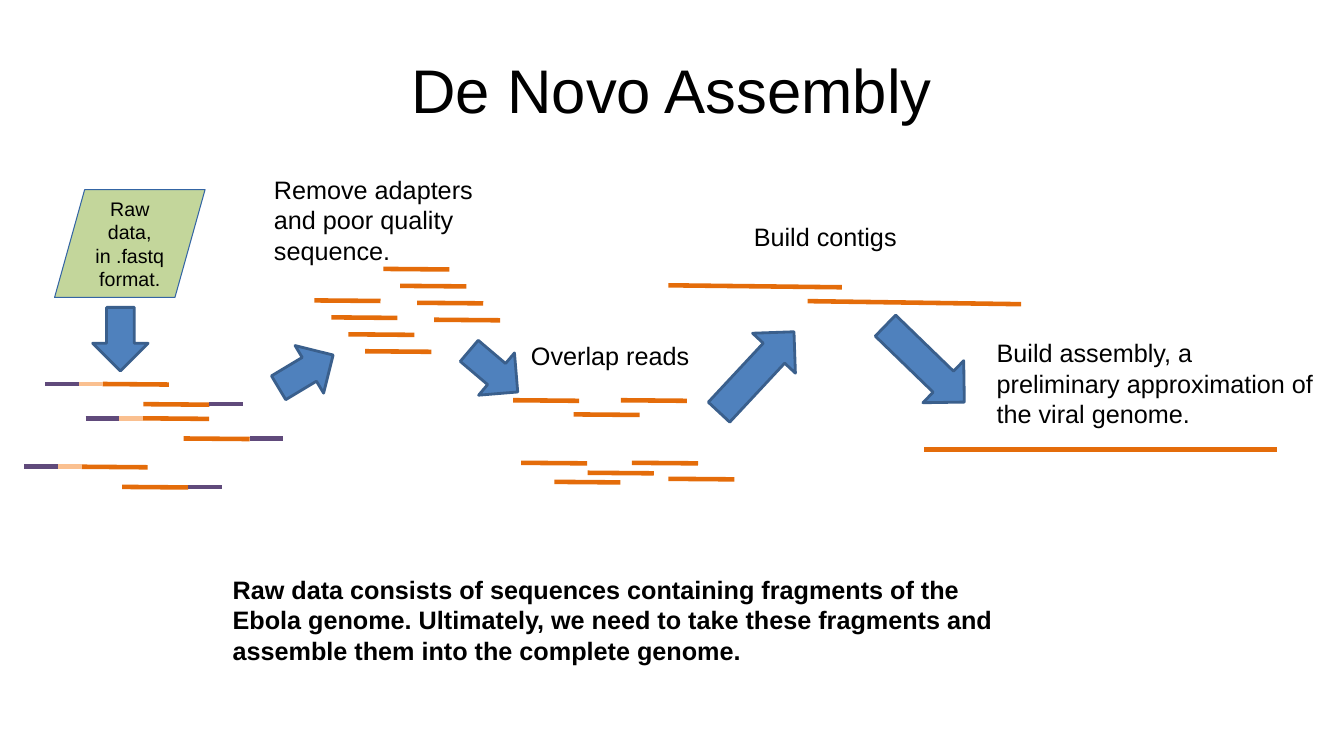
import pptx
import pptx.util
import pptx.dml.color
import pptx.enum.shapes
import pptx.enum.text
import pptx.oxml

Pt = pptx.util.Pt
SHAPES = pptx.enum.shapes.MSO_SHAPE
ALIGN = pptx.enum.text.PP_ALIGN
ANCHOR = pptx.enum.text.MSO_ANCHOR

READ = "E46C0A"
BARCODE = "FAC090"
ADAPTER = "604A7B"
READ_LENGTH = 47.2
BARCODE_LENGTH = 17
ADAPTER_LENGTH = 24


def color(hex_code):
    return pptx.dml.color.RGBColor.from_string(hex_code)


def write(frame, words, size, bold=False, align=ALIGN.LEFT):
    frame.text = words
    paragraph = frame.paragraphs[0]
    paragraph.alignment = align
    font = paragraph.runs[0].font
    font.name = "Arial"
    font.size = Pt(size)
    font.bold = bold
    font.color.rgb = color("000000")
    return paragraph


def add_label(slide, box, words, bold=False, wrap=True):
    label = slide.shapes.add_textbox(*map(Pt, box))
    label.text_frame.word_wrap = wrap
    write(label.text_frame, words, 18, bold)


def add_strand(slide, left, top, length, hex_code=READ, drop=0.4):
    strand = slide.shapes.add_connector(
        pptx.enum.shapes.MSO_CONNECTOR.STRAIGHT,
        Pt(left), Pt(top), Pt(left + length), Pt(top + drop))
    strand.line.color.rgb = color(hex_code)
    strand.line.width = Pt(3.25)
    properties = strand.element.spPr
    properties.append(pptx.oxml.parse_xml(
        '<a:effectLst xmlns:a="http://schemas.openxmlformats.org/drawingml/2006/main"/>'))


def add_block(slide, kind, box, fill, outline, outline_width):
    block = slide.shapes.add_shape(kind, *map(Pt, box))
    block.shadow.inherit = False
    block.fill.solid()
    block.fill.fore_color.rgb = color(fill)
    block.line.color.rgb = color(outline)
    block.line.width = Pt(outline_width)
    return block


def add_step_arrow(slide, box, rotation):
    arrow = add_block(slide, SHAPES.RIGHT_ARROW, box, "4F81BD", "3A5F8C", 2)
    arrow.rotation = rotation


def add_title(slide, box):
    title = slide.shapes.add_textbox(*map(Pt, box))
    frame = title.text_frame
    frame.word_wrap = True
    frame.vertical_anchor = ANCHOR.MIDDLE
    frame.margin_left = frame.margin_right = frame.margin_top = frame.margin_bottom = 0
    write(frame, "De Novo Assembly", 44, align=ALIGN.CENTER).line_spacing = 0.9


def add_raw_data(slide, left, top):
    source = add_block(slide, SHAPES.FLOWCHART_DATA, (left + 22, top, 107.5, 77),
                       "C3D69B", "3465A4", 0.75)
    source.text_frame.word_wrap = True
    source.text_frame.vertical_anchor = ANCHOR.MIDDLE
    write(source.text_frame, "Raw data, in .fastq format.", 14, align=ALIGN.CENTER)
    add_step_arrow(slide, (left + 46.3, top + 87, 45.4, 39.6), 90)
    for x, y in ((15.4, 138.8), (44.2, 163.3), (0.3, 197.9)):
        start, row = left + x, top + y
        barcode = start + ADAPTER_LENGTH
        add_strand(slide, barcode + BARCODE_LENGTH, row, READ_LENGTH)
        add_strand(slide, barcode, row, BARCODE_LENGTH, BARCODE, 0)
        add_strand(slide, start, row, ADAPTER_LENGTH, ADAPTER, 0)
        paired = start + 70
        add_strand(slide, paired, row + 14.4, READ_LENGTH)
        add_strand(slide, paired + READ_LENGTH, row + 14.4, ADAPTER_LENGTH, ADAPTER, 0)


def add_trimmed_reads(slide, left, top):
    add_label(slide, (left, top, 181.4, 72.7), "Remove adapters and poor quality sequence.")
    for x, y in ((36, 93.6), (85.2, 71.1)):
        for step in range(4):
            add_strand(slide, left + x + 12.1 * step, top + y + 12.1 * step, READ_LENGTH)


def add_overlaps(slide, left, top):
    add_label(slide, (left + 6.2, top, 128.9, 28.8), "Overlap reads", wrap=False)
    first_group = ((0.5, 46.1), (43.7, 56.2), (77.5, 46.1))
    second_group = ((6.2, 90.8), (30, 104.4), (53.8, 97.9), (85.4, 90.8), (111.4, 102.2))
    for x, y in first_group + second_group:
        add_strand(slide, left + x, top + y, READ_LENGTH)


def add_contigs(slide, left, top):
    add_label(slide, (left + 54, top, 117.4, 28.8), "Build contigs", wrap=False)
    add_strand(slide, left, top + 49, 124, drop=1.4)
    add_strand(slide, left + 99.5, top + 60.3, 152.5, drop=2.2)


def add_assembly(slide, left, top):
    add_label(slide, (left + 44.6, top, 242, 72.7),
              "Build assembly, a preliminary approximation of the viral genome.")
    add_strand(slide, left, top + 83.5, 252, drop=0)


def main():
    deck = pptx.Presentation()
    deck.slide_width, deck.slide_height = Pt(960), Pt(540)
    slide = deck.slides.add_slide(deck.slide_layouts[6])
    add_title(slide, (48, 21.6, 864, 90))
    add_raw_data(slide, 17, 135.5)
    add_trimmed_reads(slide, 188.6, 121)
    add_overlaps(slide, 366, 239.8)
    add_contigs(slide, 477.4, 154.8)
    add_assembly(slide, 660.2, 237.6)
    for box, rotation in (
            ((195.8, 245.5, 45.4, 39.6), 329),
            ((329.8, 245.5, 45.4, 39.6), 40.3),
            ((501.1, 244.8, 78.5, 41.8), 313),
            ((621.4, 239, 78.5, 41.8), 44.1)):
        add_step_arrow(slide, box, rotation)
    add_label(slide, (159.1, 406.8, 569.5, 72.7),
              "Raw data consists of sequences containing fragments of the Ebola genome. "
              "Ultimately, we need to take these fragments and assemble them into the "
              "complete genome.", bold=True)
    deck.save("out.pptx")


if __name__ == "__main__":
    main()
